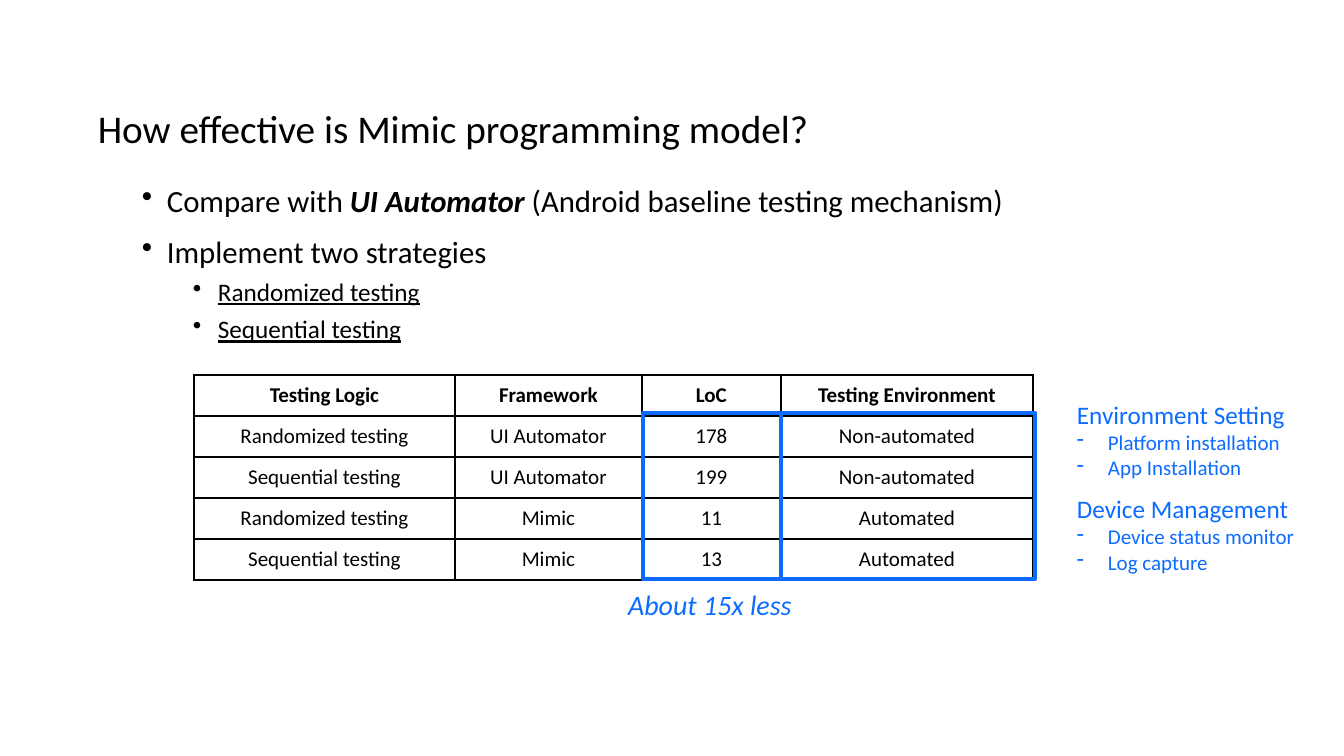
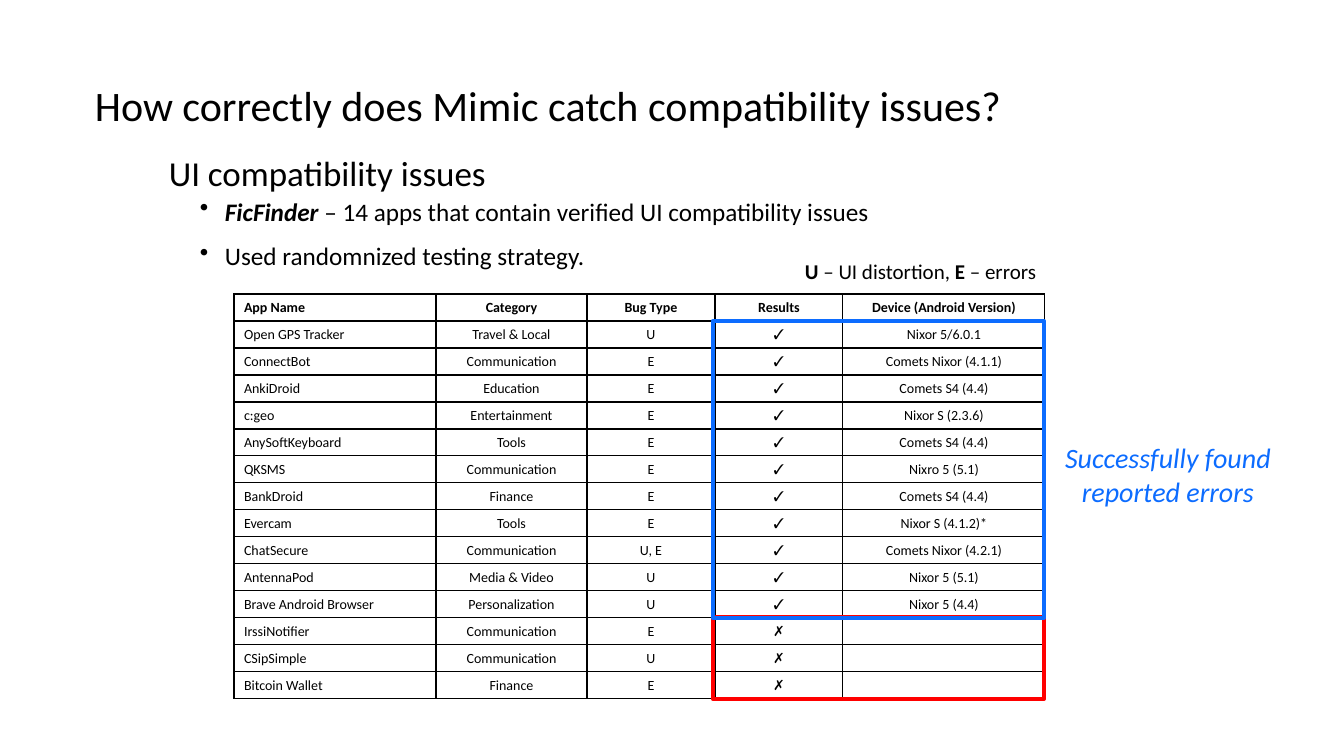
from lxml.etree import SubElement
from pptx import Presentation
from pptx.dml.color import RGBColor
from pptx.enum.shapes import MSO_SHAPE as Shape
from pptx.enum.text import MSO_ANCHOR as Anchor, PP_ALIGN as Align
from pptx.oxml import parse_xml
from pptx.oxml.ns import nsdecls, qn
from pptx.util import Emu, Pt

SCALE = 914400 / 100.8
BLACK, BLUE, RED = "000000", "0C6CFF", "FF0000"
FONT, MARK_FONT = "Calibri", "Times New Roman"
hex_colour = RGBColor.from_string


def px(*lengths):
    return [Emu(round(length * SCALE)) for length in lengths]


def add_text(frame, text, size=18, colour=BLACK, font=FONT, style="", align=Align.LEFT,
             bullet=None, indent=0, hang=0, line=1.0, before=0):
    first = frame.paragraphs[0]
    para = frame.add_paragraph() if first.runs else first
    margin, offset = px(indent, -hang)
    properties = para._p.get_or_add_pPr()
    properties.set("marL", str(margin))
    properties.set("indent", str(offset))
    if bullet:
        SubElement(properties, qn("a:buChar"), char=bullet)
    para.alignment = align
    para.line_spacing = line
    para.space_before = Pt(before)
    spans = [(text, style)] if isinstance(text, str) else text
    for words, marks in spans:
        if not words:
            SubElement(para._p, qn("a:endParaRPr"), sz=str(size * 100))
            continue
        span = para.add_run()
        span.text = words
        span.font.name = font
        span.font.size = Pt(size)
        span.font.color.rgb = hex_colour(colour)
        span.font.bold = "b" in marks
        span.font.italic = "i" in marks
        span.font.underline = "u" in marks


deck = Presentation()
deck.slide_width, deck.slide_height = px(1344, 756)
model_page, issues_page = [deck.slides.add_slide(deck.slide_layouts[6]) for _ in range(2)]

effort_rows = [
    ("Testing Logic", "Framework", "LoC", "Testing Environment"),
    ("Randomized testing", "UI Automator", "178", "Non-automated"),
    ("Sequential testing", "UI Automator", "199", "Non-automated"),
    ("Randomized testing", "Mimic", "11", "Automated"),
    ("Sequential testing", "Mimic", "13", "Automated"),
]
app_rows = [
    ("App Name", "Category", "Bug Type", "Results", "Device (Android Version)"),
    ("Open GPS Tracker", "Travel & Local", "U", "✓", "Nixor 5/6.0.1"),
    ("ConnectBot", "Communication", "E", "✓", "Comets Nixor (4.1.1)"),
    ("AnkiDroid", "Education", "E", "✓", "Comets S4 (4.4)"),
    ("c:geo", "Entertainment", "E", "✓", "Nixor S (2.3.6)"),
    ("AnySoftKeyboard", "Tools", "E", "✓", "Comets S4 (4.4)"),
    ("QKSMS", "Communication", "E", "✓", "Nixro 5 (5.1)"),
    ("BankDroid", "Finance", "E", "✓", "Comets S4 (4.4)"),
    ("Evercam", "Tools", "E", "✓", "Nixor S (4.1.2)*"),
    ("ChatSecure", "Communication", "U, E", "✓", "Comets Nixor (4.2.1)"),
    ("AntennaPod", "Media & Video", "U", "✓", "Nixor 5 (5.1)"),
    ("Brave Android Browser", "Personalization", "U", "✓", "Nixor 5 (4.4)"),
    ("IrssiNotiﬁer", "Communication", "E", "✗", ""),
    ("CSipSimple", "Communication", "U", "✗", ""),
    ("Bitcoin Wallet", "Finance", "E", "✗", ""),
]
tables = [
    (model_page, effort_rows, 194, 375, (261, 187, 139, 252), 41, 15, Align.CENTER),
    (issues_page, app_rows, 234, 294, (202, 151, 128, 128, 202), 27, 10, Align.LEFT),
]
for page, rows, left, top, widths, height, size, first_align in tables:
    place = px(left, top, sum(widths), height * len(rows))
    table = page.shapes.add_table(len(rows), len(widths), *place).table
    table.first_row = table.horz_banding = False
    for column, width in zip(table.columns, px(*widths)):
        column.width = width
    for row_index, row in enumerate(rows):
        table.rows[row_index].height = px(height)[0]
        for column_index, words in enumerate(row):
            cell = table.cell(row_index, column_index)
            cell.vertical_anchor = Anchor.MIDDLE
            cell.fill.background()
            for position, side in enumerate(("lnL", "lnR", "lnT", "lnB")):
                border = parse_xml(
                    f'<a:{side} {nsdecls("a")} w="12700"><a:solidFill>'
                    f'<a:srgbClr val="{BLACK}"/></a:solidFill></a:{side}>')
                cell._tc.get_or_add_tcPr().insert(position, border)
            add_text(cell.text_frame, words, size=size,
                     style="b" if row_index == 0 or words in ("✓", "✗") else "",
                     font=MARK_FONT if words == "✓" else FONT,
                     align=Align.CENTER if column_index else first_align)

highlights = [
    (model_page, BLUE, (643, 413, 138, 166)),
    (model_page, BLUE, (781, 413, 254, 166)),
    (issues_page, RED, (713, 617, 331, 82)),
    (issues_page, BLUE, (713, 321, 331, 297)),
]
for page, colour, place in highlights:
    highlight = page.shapes.add_shape(Shape.RECTANGLE, *px(*place))
    highlight.shadow.inherit = False
    highlight.fill.background()
    highlight.line.color.rgb = hex_colour(colour)
    highlight.line.width = Pt(3)

heading = dict(line=1.5)
point = dict(bullet="•", indent=25, hang=25)
subpoint = dict(bullet="•", indent=76, hang=25, before=5, style="u")
callout = dict(size=20, colour=BLUE, style="i", align=Align.CENTER)
group = dict(colour=BLUE)
item = dict(size=15, colour=BLUE, bullet="-", indent=31, hang=31)

text_boxes = [
    (model_page, (88, 76, 803, 49), [
        ("How effective is Mimic programming model?", dict(heading, size=28)),
    ]),
    (model_page, (132, 158, 1157, 217), [
        ([("Compare with ", ""), ("UI Automator", "bi"),
          (" (Android baseline testing mechanism)", "")], dict(point, size=22, line=1.5)),
        ("Implement two strategies", dict(point, size=22, before=10)),
        ("Randomized testing", subpoint),
        ("Sequential testing", subpoint),
    ]),
    (model_page, (387, 583, 646, 44), [("About 15x less", callout)]),
    (model_page, (1067, 394, 271, 186), [
        ("Environment Setting", group),
        ("Platform installation", item),
        ("App Installation", item),
        ("Device Management", dict(group, before=10)),
        ("Device status monitor", item),
        ("Log capture", item),
    ]),
    (issues_page, (85, 49, 936, 79), [
        ("How correctly does Mimic catch compatibility issues?", dict(heading, size=30)),
    ]),
    (issues_page, (109, 126, 1060, 49), [
        ("UI compatibility issues", dict(heading, size=25, indent=50)),
    ]),
    (issues_page, (190, 191, 1127, 105), [
        ([("FicFinder", "bi"),
          (" – 14 apps that contain verified UI compatibility issues", "")], point),
        ("Used randomnized testing strategy.", dict(point, before=10)),
    ]),
    (issues_page, (795, 254, 279, 40), [
        ([("U ", "b"), ("– UI distortion, ", ""), ("E", "b"), (" – errors", "")],
         dict(size=15)),
    ]),
    (issues_page, (996, 436, 344, 78), [
        ("Successfully found", callout),
        ("reported errors", callout),
    ]),
]
for page, place, paragraphs in text_boxes:
    frame = page.shapes.add_textbox(*px(*place)).text_frame
    frame.word_wrap = True
    for words, look in paragraphs:
        add_text(frame, words, **look)

deck.save("out.pptx")
